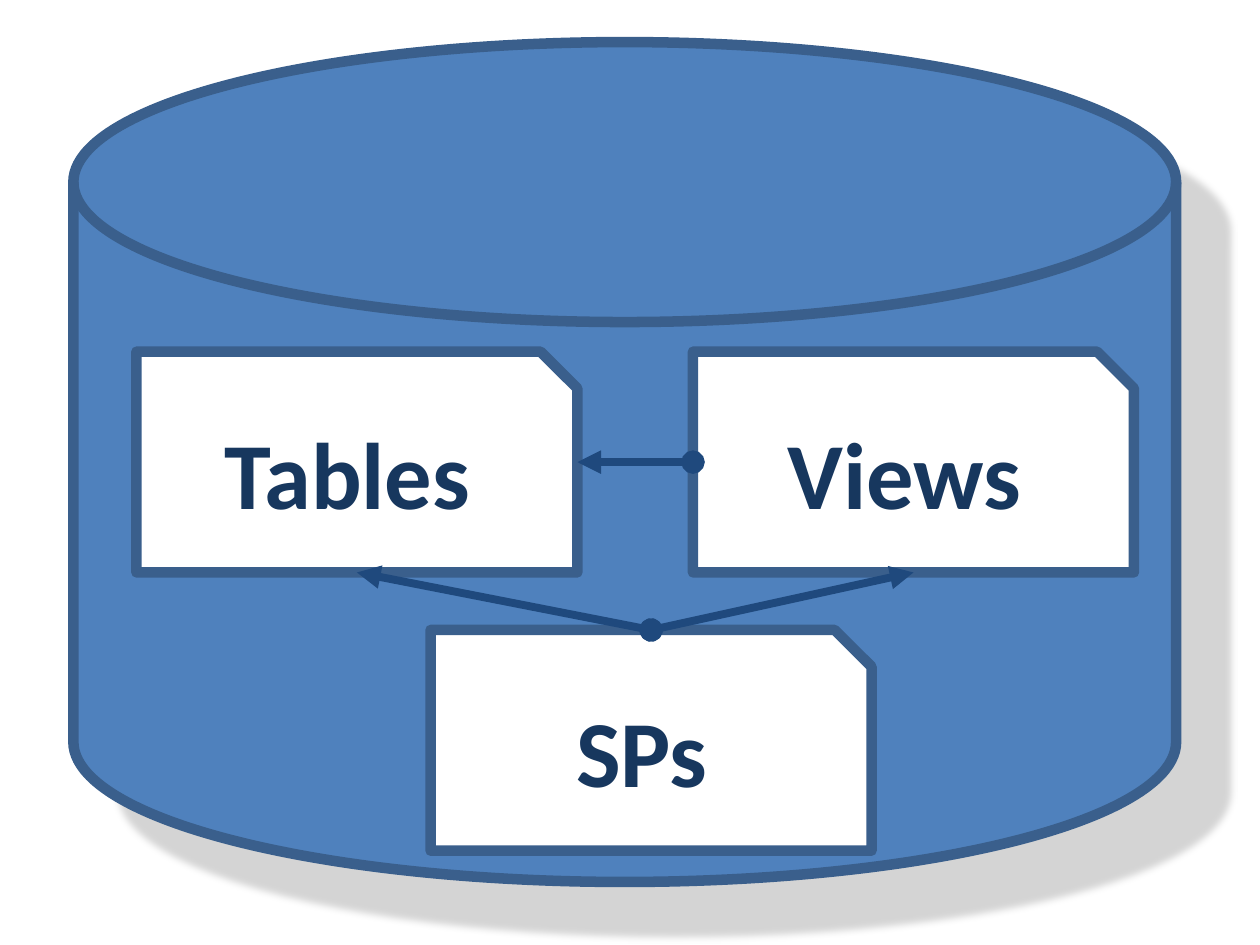
from lxml.etree import SubElement
from pptx import Presentation
from pptx.dml.color import RGBColor as Rgb
from pptx.enum.shapes import MSO_CONNECTOR as Connector, MSO_SHAPE as Shape
from pptx.enum.text import MSO_ANCHOR as Anchor, PP_ALIGN as Align
from pptx.oxml.ns import qn
from pptx.util import Cm, Pt

COLORS = {
    "disk": "4F81BD",
    "outline": "3A5F8C",
    "card": "FFFFFF",
    "text": "17375E",
    "arrow": "1F497D",
    "shadow": "000000",
}


def write_text(shape, text, size=54, font="Calibri", color="text", bold=True):
    """Put one centred, formatted line of text in a shape."""
    frame = shape.text_frame
    frame.word_wrap = True
    frame.vertical_anchor = Anchor.MIDDLE
    para = frame.paragraphs[0]
    para.alignment = Align.CENTER
    span = para.add_run()
    span.text = text
    span.font.size = Pt(size)
    span.font.name = font
    span.font.bold = bold
    span.font.color.rgb = Rgb.from_string(COLORS[color])


class Diagram:
    """Hold the drawing style and the current slide."""

    outline_width = Pt(6)
    arrow_width = Pt(4.5)
    card_size = Cm(8.89), Cm(4.45)

    def __init__(self, page):
        """Start drawing on a page."""
        self.page = page

    def outlined(self, kind, left, top, width, height, fill):
        """Add a filled preset shape with the common outline."""
        shape = self.page.shapes.add_shape(kind, left, top, width, height)
        shape.shadow.inherit = False
        shape.fill.solid()
        shape.fill.fore_color.rgb = Rgb.from_string(COLORS[fill])
        shape.line.color.rgb = Rgb.from_string(COLORS["outline"])
        shape.line.width = self.outline_width
        return shape

    def disk(self, left, top, width, height):
        """Add the database cylinder with its soft shadow."""
        shape = self.outlined(Shape.FLOWCHART_MAGNETIC_DISK, left, top, width, height, "disk")
        effects = shape._element.spPr.find(qn("a:effectLst"))
        shadow = SubElement(effects, qn("a:outerShdw"), blurRad=str(Pt(4)), dist=str(Pt(40)),
                            dir=str(45 * 60000), algn="tl", rotWithShape="0")
        color = SubElement(shadow, qn("a:srgbClr"), val=COLORS["shadow"])
        SubElement(color, qn("a:alpha"), val="17000")

    def card(self, text, left, top):
        """Add a labelled card with a snipped corner."""
        box = self.outlined(Shape.SNIP_1_RECTANGLE, left, top, *self.card_size, "card")
        write_text(box, text)
        return box

    def arrow(self, start, end):
        """Add a line from a round start to a triangular tip."""
        line = self.page.shapes.add_connector(Connector.STRAIGHT, *start, *end)
        line.line.color.rgb = Rgb.from_string(COLORS["arrow"])
        line.line.width = self.arrow_width
        outline = line.line._get_or_add_ln()
        SubElement(outline, qn("a:headEnd"), type="oval")
        SubElement(outline, qn("a:tailEnd"), type="triangle")
        SubElement(line._element.spPr, qn("a:effectLst"))


def anchor_point(box, across, down):
    """Return the point at the given fractions of a box."""
    return int(box.left + box.width * across), int(box.top + box.height * down)


def main():
    """Build the database diagram."""
    deck = Presentation()
    deck.slide_width, deck.slide_height = Cm(25.4), Cm(19.05)
    diagram = Diagram(deck.slides.add_slide(deck.slide_layouts[6]))

    diagram.disk(Cm(1.48), Cm(0.85), Cm(22.23), Cm(16.93))
    tables = diagram.card("Tables", Cm(2.75), Cm(7.09))
    procedures = diagram.card("SPs", Cm(8.68), Cm(12.7))
    views = diagram.card("Views", Cm(13.97), Cm(7.09))

    diagram.arrow(anchor_point(views, 0, 0.5), anchor_point(tables, 1, 0.5))
    for target in (tables, views):
        diagram.arrow(anchor_point(procedures, 0.5, 0), anchor_point(target, 0.5, 1))

    deck.save("out.pptx")


if __name__ == "__main__":
    main()
